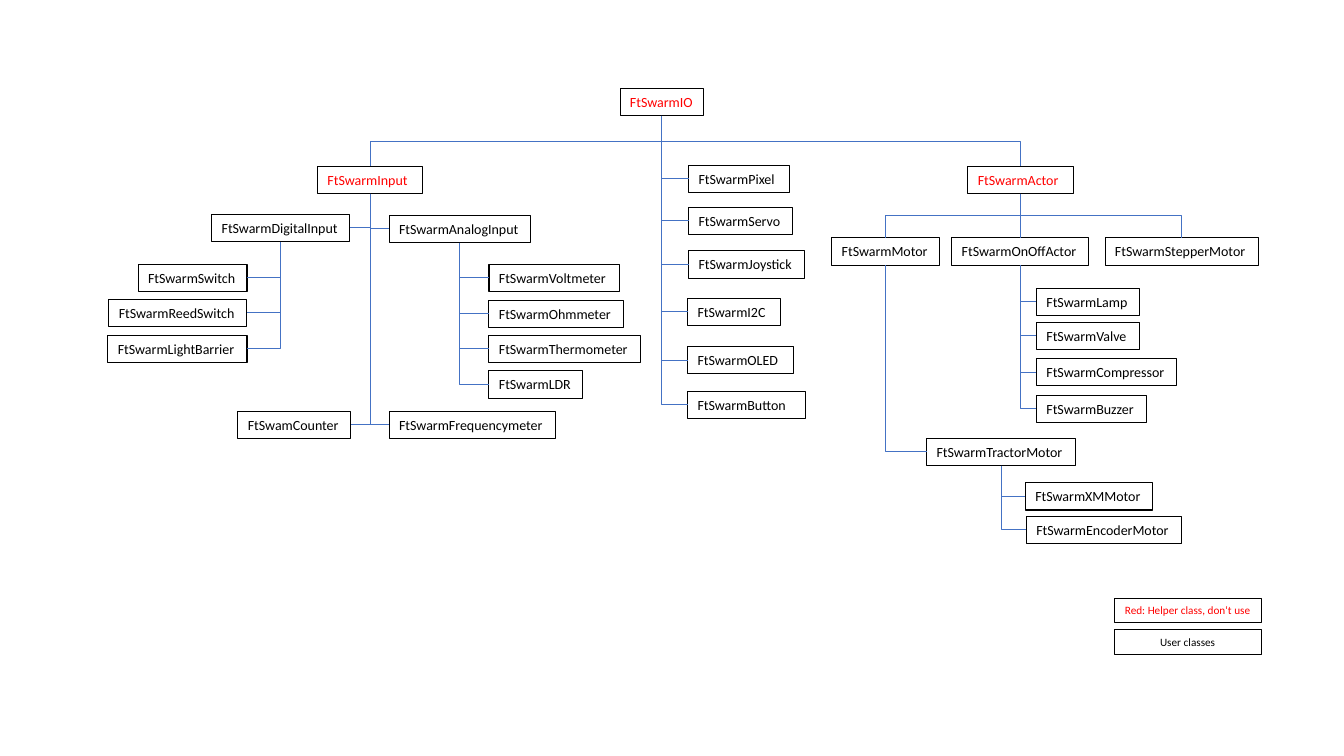
"""Build the FtSwarm class tree slide."""
from pptx import Presentation
from pptx.dml.color import RGBColor
from pptx.enum.shapes import MSO_CONNECTOR, MSO_SHAPE
from pptx.enum.text import MSO_ANCHOR, MSO_AUTO_SIZE, PP_ALIGN
from pptx.oxml.ns import qn
from pptx.oxml.xmlchemy import OxmlElement
from pptx.util import Pt

PX = 9144
HIGH = 27
RED, BLACK, BLUE = "FF0000", "000000", "4472C4"
FRAME = {"word_wrap": False, "auto_size": MSO_AUTO_SIZE.SHAPE_TO_FIT_TEXT,
         "vertical_anchor": MSO_ANCHOR.TOP}

deck = Presentation()
deck.slide_width, deck.slide_height = 1333 * PX, 750 * PX
slide = deck.slides.add_slide(deck.slide_layouts[6])
shapes = slide.shapes


def box(text, x, y, wide, high=HIGH, size=10, ink=BLACK, align=PP_ALIGN.LEFT):
    """Draw one outlined label."""
    shape = shapes.add_shape(MSO_SHAPE.RECTANGLE, x * PX, y * PX, wide * PX, high * PX)
    shape.shadow.inherit = False
    shape.fill.background()
    shape.line.color.rgb = RGBColor.from_string(BLACK)
    shape.line.width = Pt(0.75)
    frame = shape.text_frame
    for key, value in FRAME.items():
        setattr(frame, key, value)
    para = frame.paragraphs[0]
    para.text, para.alignment = text, align
    for key, value in {"name": "Calibri", "size": Pt(size)}.items():
        setattr(para.font, key, value)
    para.font.color.rgb = RGBColor.from_string(ink)


def link(x1, y1, x2, y2, bend):
    """Draw an elbow line that leaves downwards, as a turned connector."""
    midx, midy = (x1 + x2) * PX // 2, (y1 + y2) * PX // 2
    run, rise = (y2 - y1) * PX // 2, abs(x2 - x1) * PX // 2
    right = x2 > x1
    side = run if right else -run
    line = shapes.add_connector(MSO_CONNECTOR.ELBOW, midx + side, midy - rise,
                                midx - side, midy + rise)
    line.line.color.rgb = RGBColor.from_string(BLUE)
    line.line.width = Pt(0.5)
    props = line._element.spPr
    props.find(qn("a:xfrm")).set("rot", str((270 if right else 90) * 60000))
    props.find(qn("a:prstGeom")).set("prst", bend)
    props.append(OxmlElement("a:effectLst"))


places = {
    "FtSwarmIO": (615, 88, 83),
    "FtSwarmInput": (315, 165, 104),
    "FtSwarmActor": (960, 165, 105),
    "FtSwarmPixel": (683, 164, 100),
    "FtSwarmServo": (683, 206, 103),
    "FtSwarmJoystick": (683, 249, 115),
    "FtSwarmI2C": (682, 296, 92),
    "FtSwarmOLED": (682, 344, 105),
    "FtSwarmButton": (682, 388, 117),
    "FtSwarmDigitalInput": (210, 213, 137),
    "FtSwarmAnalogInput": (386, 214, 140),
    "FtSwamCounter": (236, 408, 112),
    "FtSwarmFrequencymeter": (386, 408, 165),
    "FtSwarmSwitch": (137, 262, 108),
    "FtSwarmReedSwitch": (108, 297, 137),
    "FtSwarmLightBarrier": (107, 333, 138),
    "FtSwarmVoltmeter": (485, 262, 129),
    "FtSwarmOhmmeter": (485, 298, 133),
    "FtSwarmThermometer": (485, 333, 150),
    "FtSwarmLDR": (485, 368, 93),
    "FtSwarmMotor": (825, 236, 107),
    "FtSwarmOnOffActor": (944, 236, 136),
    "FtSwarmStepperMotor": (1096, 236, 152),
    "FtSwarmLamp": (1028, 286, 102),
    "FtSwarmValve": (1028, 320, 102),
    "FtSwarmCompressor": (1028, 356, 139),
    "FtSwarmBuzzer": (1028, 392, 109),
    "FtSwarmTractorMotor": (919, 435, 148),
    "FtSwarmXMMotor": (1017, 479, 126),
    "FtSwarmEncoderMotor": (1018, 512, 154),
}
helpers = {"FtSwarmIO", "FtSwarmInput", "FtSwarmActor"}
top_kids = {
    "FtSwarmIO": ["FtSwarmInput", "FtSwarmActor"],
    "FtSwarmActor": ["FtSwarmMotor", "FtSwarmOnOffActor", "FtSwarmStepperMotor"],
}
side_kids = {
    "FtSwarmIO": ["FtSwarmPixel", "FtSwarmServo", "FtSwarmJoystick",
                  "FtSwarmI2C", "FtSwarmOLED", "FtSwarmButton"],
    "FtSwarmInput": ["FtSwarmDigitalInput", "FtSwarmAnalogInput",
                     "FtSwamCounter", "FtSwarmFrequencymeter"],
    "FtSwarmDigitalInput": ["FtSwarmSwitch", "FtSwarmReedSwitch", "FtSwarmLightBarrier"],
    "FtSwarmAnalogInput": ["FtSwarmVoltmeter", "FtSwarmOhmmeter",
                           "FtSwarmThermometer", "FtSwarmLDR"],
    "FtSwarmOnOffActor": ["FtSwarmLamp", "FtSwarmValve",
                          "FtSwarmCompressor", "FtSwarmBuzzer"],
    "FtSwarmMotor": ["FtSwarmTractorMotor"],
    "FtSwarmTractorMotor": ["FtSwarmXMMotor", "FtSwarmEncoderMotor"],
}

for name, place in places.items():
    box(name, *place, ink=RED if name in helpers else BLACK)

for bend, tree in (("bentConnector3", top_kids), ("bentConnector2", side_kids)):
    for parent, kids in tree.items():
        left, top, wide = places[parent]
        stem = left + wide // 2
        for kid in kids:
            x, y, width = places[kid]
            if tree is top_kids:
                end = x + width // 2, y
            else:
                end = x if x > stem else x + width, y + HIGH // 2
            link(stem, top + HIGH, *end, bend)

legend = [("Red: Helper class, don‘t use", RED), ("User classes", BLACK)]
for row, (text, ink) in enumerate(legend):
    box(text, 1105, 594 + 31 * row, 146, 24, 8, ink, PP_ALIGN.CENTER)

deck.save("out.pptx")
